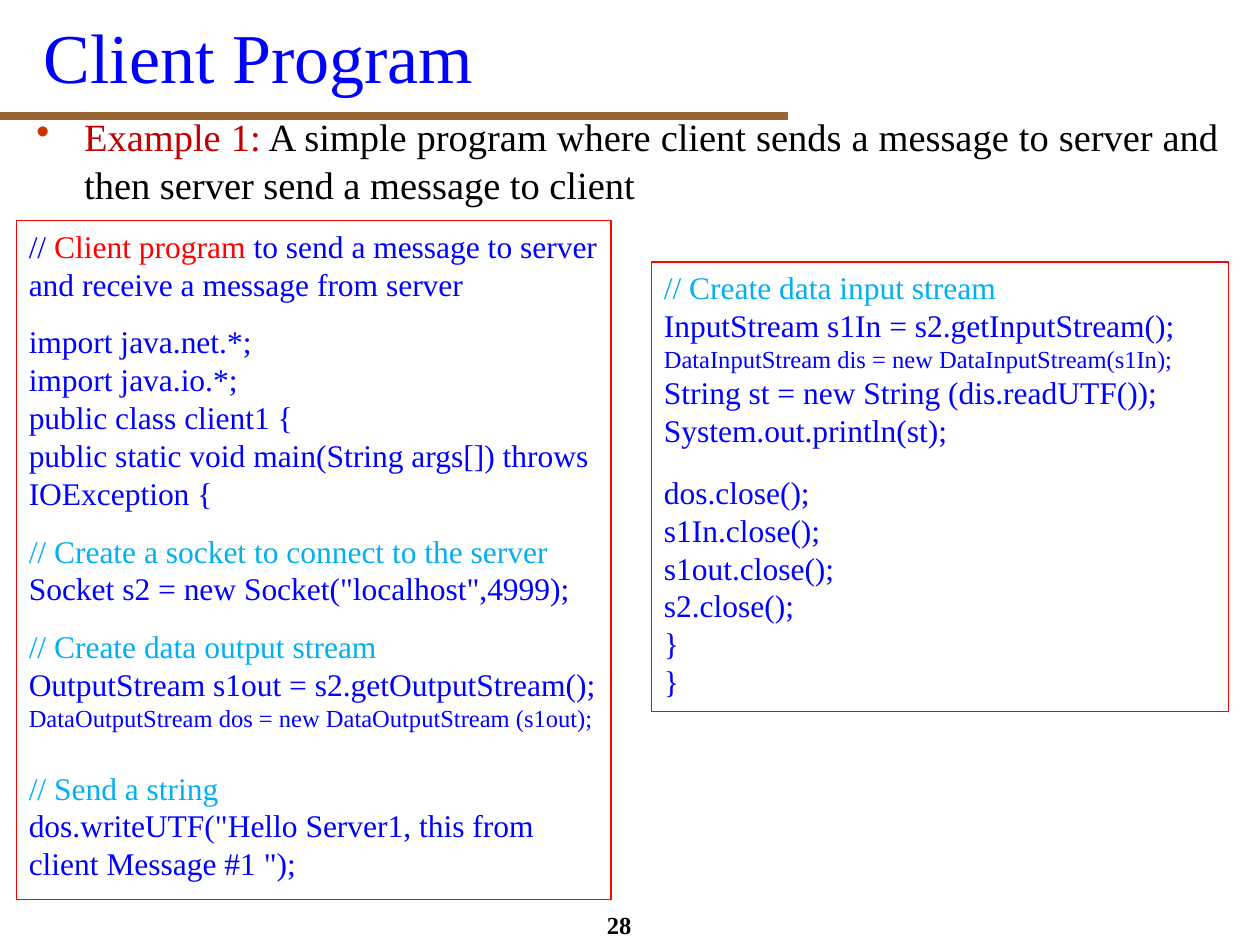
from lxml import etree
from pptx import Presentation
from pptx.dml.color import RGBColor
from pptx.enum import shapes, text
from pptx.oxml.ns import qn
from pptx.util import Inches, Pt

COLORS = {"blue": "0000FF", "red": "FF0000", "sky": "00B0F0", "dark_red": "C00000",
          "black": "000000", "brown": "996633", "bullet": "CC3300"}


def rgb(name):
    return RGBColor.from_string(COLORS[name])


def write(tf, runs, size=18, color="blue", bold=False, before=0, align=None, first=False):
    p = tf.paragraphs[0] if first else tf.add_paragraph()
    p.alignment = align
    if before:
        p.space_before = Pt(before)
    for part in [runs] if isinstance(runs, str) else runs:
        words, tint = (part, color) if isinstance(part, str) else part
        r = p.add_run()
        r.text = words
        r.font.name = "Times New Roman"
        r.font.size = Pt(size)
        r.font.bold = bold
        r.font.color.rgb = rgb(tint)
    return p


prs = Presentation()
prs.slide_width, prs.slide_height = Inches(10), Inches(7.5)
s = prs.slides.add_slide(prs.slide_layouts[6])

rule = s.shapes.add_connector(shapes.MSO_CONNECTOR.STRAIGHT,
                              Inches(0), Inches(0.92), Inches(6.25), Inches(0.92))
rule.line.color.rgb = rgb("brown")
rule.line.width = Pt(4.5)
etree.SubElement(rule._element.spPr, qn("a:effectLst"))

title = s.shapes.add_textbox(Inches(0.25), Inches(-0.02), Inches(9.5), Inches(0.92))
title.text_frame.word_wrap = True
title.text_frame.vertical_anchor = text.MSO_ANCHOR.MIDDLE
write(title.text_frame, "Client Program", size=40, first=True)

body = s.shapes.add_textbox(Inches(0.19), Inches(0.83), Inches(9.58), Inches(6.33))
body.text_frame.word_wrap = True
p = write(body.text_frame,
          [("Example 1:", "dark_red"),
           " A simple program where client sends a message to server and "
           "then server send a message to client"],
          size=22, color="black", align=text.PP_ALIGN.JUSTIFY, first=True)
p.line_spacing = 1.05
pPr = p._p.get_or_add_pPr()
pPr.set("marL", str(Inches(0.38)))
pPr.set("indent", str(Inches(-0.38)))
tint = etree.SubElement(etree.SubElement(pPr, qn("a:buClr")), qn("a:srgbClr"))
tint.set("val", COLORS["bullet"])
etree.SubElement(pPr, qn("a:buChar")).set("char", "•")

number = s.shapes.add_textbox(Inches(4.58), Inches(7.17), Inches(0.67), Inches(0.33))
number.text_frame.word_wrap = True
write(number.text_frame, "28", size=14, color="black", bold=True,
      align=text.PP_ALIGN.CENTER, first=True)

setup_code = [
    (["// ", ("Client program ", "red"),
      "to send a message to server and receive a message from server"], {}),
    ("import java.net.*;", {"before": 11.5}),
    ("import java.io.*;", {}),
    ("public class client1 {", {}),
    ("public static void main(String args[]) throws IOException {", {}),
    ("// Create a socket to connect to the server", {"color": "sky", "before": 11.5}),
    ('Socket s2 = new Socket("localhost",4999);', {}),
    ("// Create data output stream", {"color": "sky", "before": 11.5}),
    ("OutputStream s1out = s2.getOutputStream();", {}),
    ("DataOutputStream dos = new DataOutputStream (s1out);", {"size": 14}),
    ("// Send a string", {"color": "sky", "before": 20.7}),
    ('dos.writeUTF("Hello Server1, this from client Message #1 ");', {}),
]
reply_code = [
    ("// Create data input stream", {"color": "sky"}),
    ("InputStream s1In = s2.getInputStream();", {}),
    ("DataInputStream dis = new DataInputStream(s1In);", {"size": 14}),
    ("String st = new String (dis.readUTF());", {}),
    ("System.out.println(st);", {}),
    ("dos.close();", {"before": 13.8}),
    ("s1In.close();", {}),
    ("s1out.close();", {}),
    ("s2.close();", {}),
    ("}", {}),
    ("}", {}),
]

for box, code in [((0.13, 1.75, 4.72, 5.39), setup_code),
                  ((5.17, 2.08, 4.58, 3.57), reply_code)]:
    sp = s.shapes.add_shape(shapes.MSO_SHAPE.RECTANGLE, *map(Inches, box))
    sp.shadow.inherit = False
    sp.fill.background()
    sp.line.color.rgb = rgb("red")
    sp.line.width = Pt(0.75)
    tf = sp.text_frame
    tf.word_wrap = True
    tf.vertical_anchor = text.MSO_ANCHOR.TOP
    for i, (runs, style) in enumerate(code):
        write(tf, runs, align=text.PP_ALIGN.LEFT, first=i == 0, **style)

prs.save("out.pptx")
